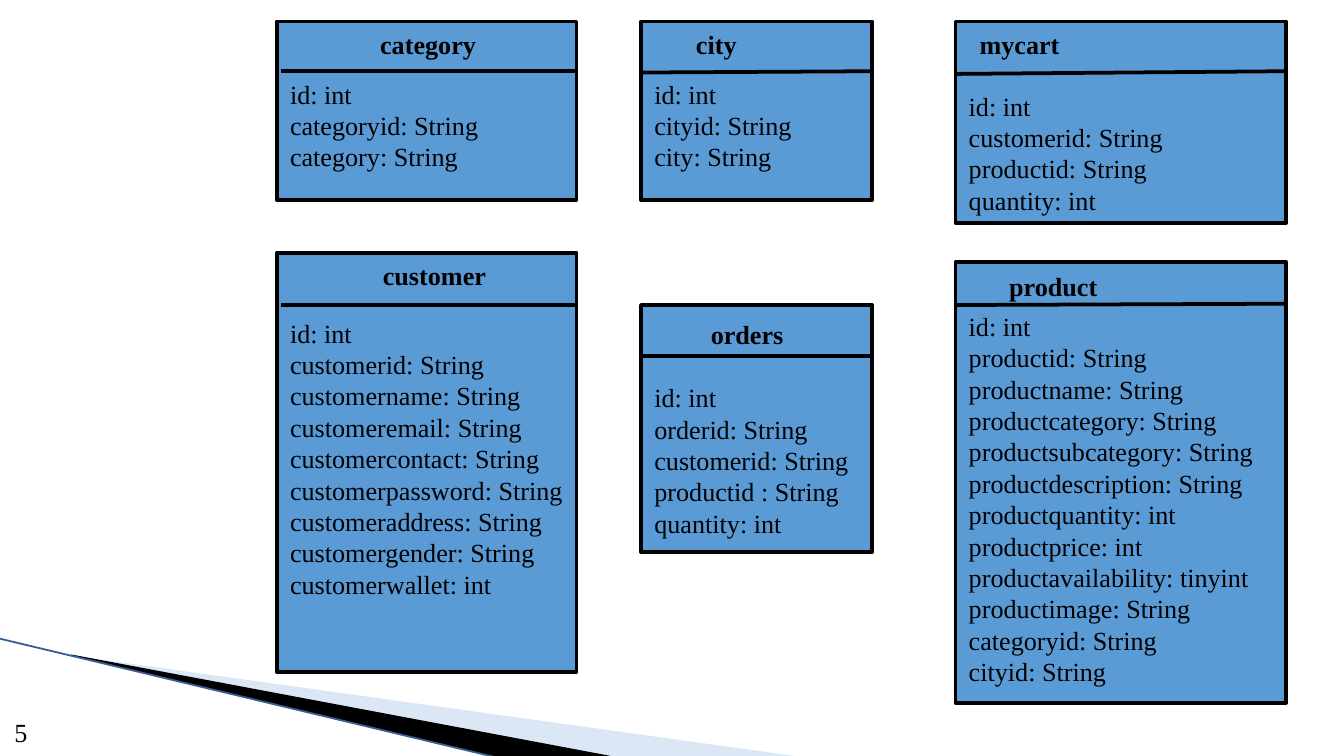
from dataclasses import dataclass

from lxml import etree
from pptx import Presentation
from pptx.dml.color import RGBColor
from pptx.enum.shapes import MSO_CONNECTOR, MSO_SHAPE
from pptx.enum.text import MSO_ANCHOR, PP_ALIGN
from pptx.oxml.ns import qn
from pptx.util import Inches, Pt

STRAIGHT = MSO_CONNECTOR.STRAIGHT
RECTANGLE = MSO_SHAPE.RECTANGLE
TOP = MSO_ANCHOR.TOP
LEFT = PP_ALIGN.LEFT
BLANK_LAYOUT = 6


@dataclass(frozen=True)
class Theme:
    font: str = "Times New Roman"
    text_size: float = 14
    line_spacing: float = 16.8
    ink: str = "000000"
    box: str = "5B9BD5"
    pale: str = "A9C5E9"
    edge: str = "376092"
    outline: float = 2
    edge_width: float = 0.95


@dataclass(frozen=True)
class Entity:
    """A class box; divider holds its left end, then the heights of both ends.

    With fields_size, the fields stand in a text box of their own.
    """
    name: str
    box: tuple
    name_at: tuple
    divider: tuple
    fields_top: float
    fields: tuple
    fields_size: tuple = ()


THEME = Theme()

ENTITIES = (
    Entity("category", (2.06, 0.16, 2.23, 1.33), (2.73, 0.16), (2.09, 0.53, 0.53), 0.58,
           ("id: int", "categoryid: String", "category: String")),
    Entity("city", (4.77, 0.16, 1.72, 1.33), (5.08, 0.16), (4.77, 0.54, 0.53), 0.58,
           ("id: int", "cityid: String", "city: String")),
    Entity("mycart", (7.11, 0.16, 2.46, 1.5), (7.19, 0.16), (7.11, 0.55, 0.53), 0.67,
           ("id: int", "customerid: String", "productid: String", "quantity: int")),
    Entity("customer", (2.06, 1.88, 2.23, 3.12), (2.75, 1.88), (2.09, 2.27, 2.27), 2.31,
           ("id: int", "customerid: String", "customername: String",
            "customeremail: String", "customercontact: String",
            "customerpassword: String", "customeraddress: String",
            "customergender: String", "customerwallet: int"), (2.7, 2.46)),
    Entity("orders", (4.77, 2.27, 1.72, 1.84), (5.19, 2.32), (4.77, 2.65, 2.65), 2.84,
           ("id: int", "orderid: String", "customerid: String",
            "productid : String", "quantity: int")),
    Entity("product", (7.11, 1.95, 2.46, 3.28), (7.41, 1.96), (7.11, 2.27, 2.26), 2.26,
           ("id: int", "productid: String", "productname: String",
            "productcategory: String", "productsubcategory: String",
            "productdescription: String", "productquantity: int",
            "productprice: int", "productavailability: tinyint",
            "productimage: String", "categoryid: String", "cityid: String"),
           (2.8, 3.16)),
)


def color(value):
    return RGBColor.from_string(value)


def write_lines(shape, lines, bold=False, **margins):
    frame = shape.text_frame
    settings = {"word_wrap": True, "vertical_anchor": TOP, **margins}
    for name, value in settings.items():
        setattr(frame, name, value)
    frame.text = "\n".join(lines)
    for paragraph in frame.paragraphs:
        paragraph.alignment = LEFT
        paragraph.line_spacing = Pt(THEME.line_spacing)
        font = paragraph.runs[0].font
        formats = {"name": THEME.font, "size": Pt(THEME.text_size), "bold": bold}
        for name, value in formats.items():
            setattr(font, name, value)
        font.color.rgb = color(THEME.ink)


def add_text(slide, position, size, lines, bold=False, **margins):
    text_box = slide.shapes.add_textbox(*map(Inches, position + size))
    write_lines(text_box, lines, bold, **margins)


def add_line(slide, start, end, line_color, width):
    connector = slide.shapes.add_connector(STRAIGHT, *map(Inches, start + end))
    connector.line.color.rgb = color(line_color)
    connector.line.width = Pt(width)
    properties = connector.element.find(qn("p:spPr"))
    etree.SubElement(properties, qn("a:effectLst"))


def add_polygon(slide, points, fill, opacity=100):
    corners = [tuple(map(Inches, point)) for point in points]
    builder = slide.shapes.build_freeform(*corners[0])
    builder.add_line_segments(corners[1:], close=True)
    shape = builder.convert_to_shape()
    shape.shadow.inherit = False
    shape.fill.solid()
    shape.fill.fore_color.rgb = color(fill)
    shape.line.fill.background()
    if opacity < 100:
        fill_color = shape.element.find(".//" + qn("a:srgbClr"))
        etree.SubElement(fill_color, qn("a:alpha"), val=str(opacity * 1000))


def add_entity(slide, entity):
    left, top, width, _ = entity.box
    box = slide.shapes.add_shape(RECTANGLE, *map(Inches, entity.box))
    box.shadow.inherit = False
    box.fill.solid()
    box.fill.fore_color.rgb = color(THEME.box)
    box.line.color.rgb = color(THEME.ink)
    box.line.width = Pt(THEME.outline)

    divider_left, start_y, end_y = entity.divider
    add_line(slide, (divider_left, start_y), (left + width, end_y),
             THEME.ink, THEME.outline)
    add_text(slide, entity.name_at, (1.09, 0.34), [entity.name], bold=True)

    if entity.fields_size:
        add_text(slide, (left, entity.fields_top), entity.fields_size, entity.fields)
    else:
        write_lines(box, entity.fields, margin_right=0, margin_bottom=0,
                    margin_top=Inches(entity.fields_top - top))


def add_corner_decoration(slide):
    add_polygon(slide, [(0.55, 4.88), (5.95, 5.63), (4.56, 5.63)], THEME.pale, 40)
    add_polygon(slide, [(0.53, 4.87), (4.57, 5.63), (3.72, 5.64), (0.54, 4.88)],
                THEME.ink)
    add_line(slide, (-0.01, 4.75), (3.71, 5.64), THEME.edge, THEME.edge_width)


def main():
    presentation = Presentation()
    presentation.slide_width = Inches(10)
    presentation.slide_height = presentation.slide_width * 9 // 16
    slide = presentation.slides.add_slide(presentation.slide_layouts[BLANK_LAYOUT])

    add_corner_decoration(slide)
    add_text(slide, (0.01, 5.23), (0.6, 0.39), ["5"],
             margin_top=Inches(0.1), margin_bottom=Inches(0.1))
    for entity in ENTITIES:
        add_entity(slide, entity)

    presentation.save("out.pptx")


if __name__ == "__main__":
    main()
